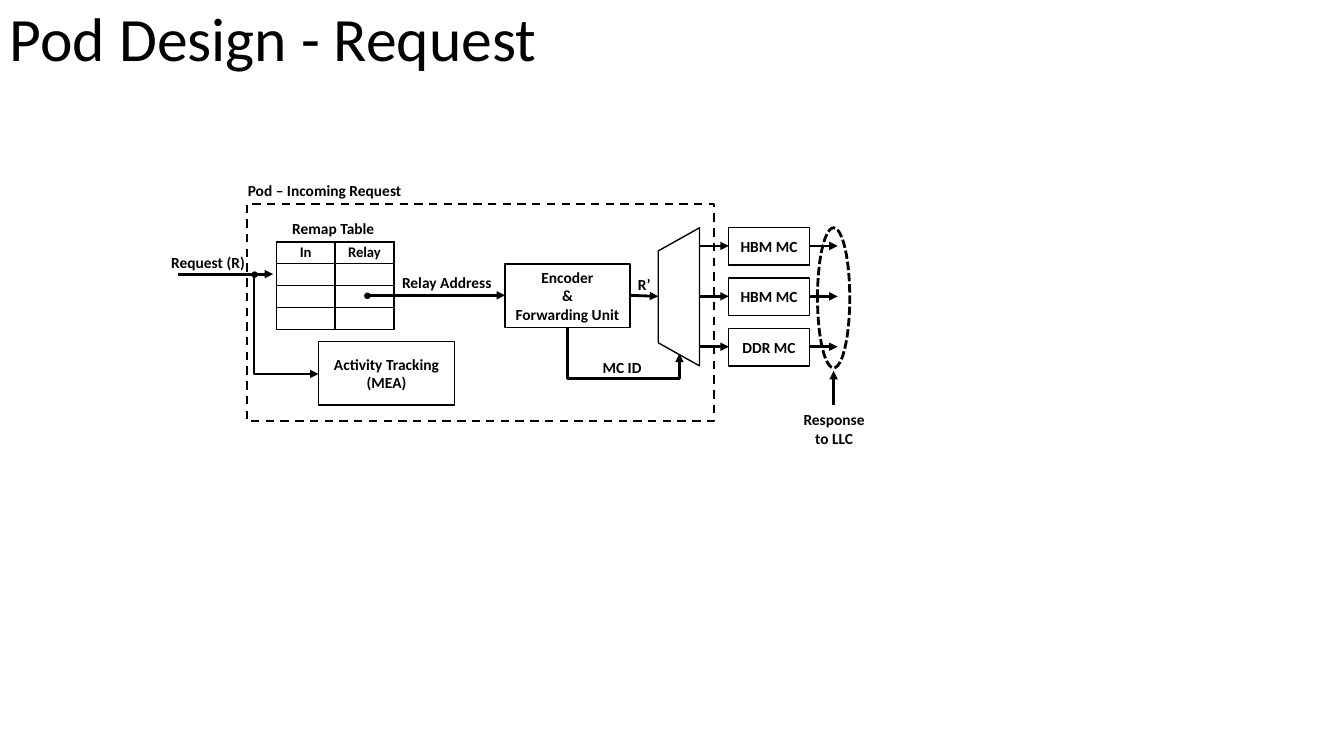
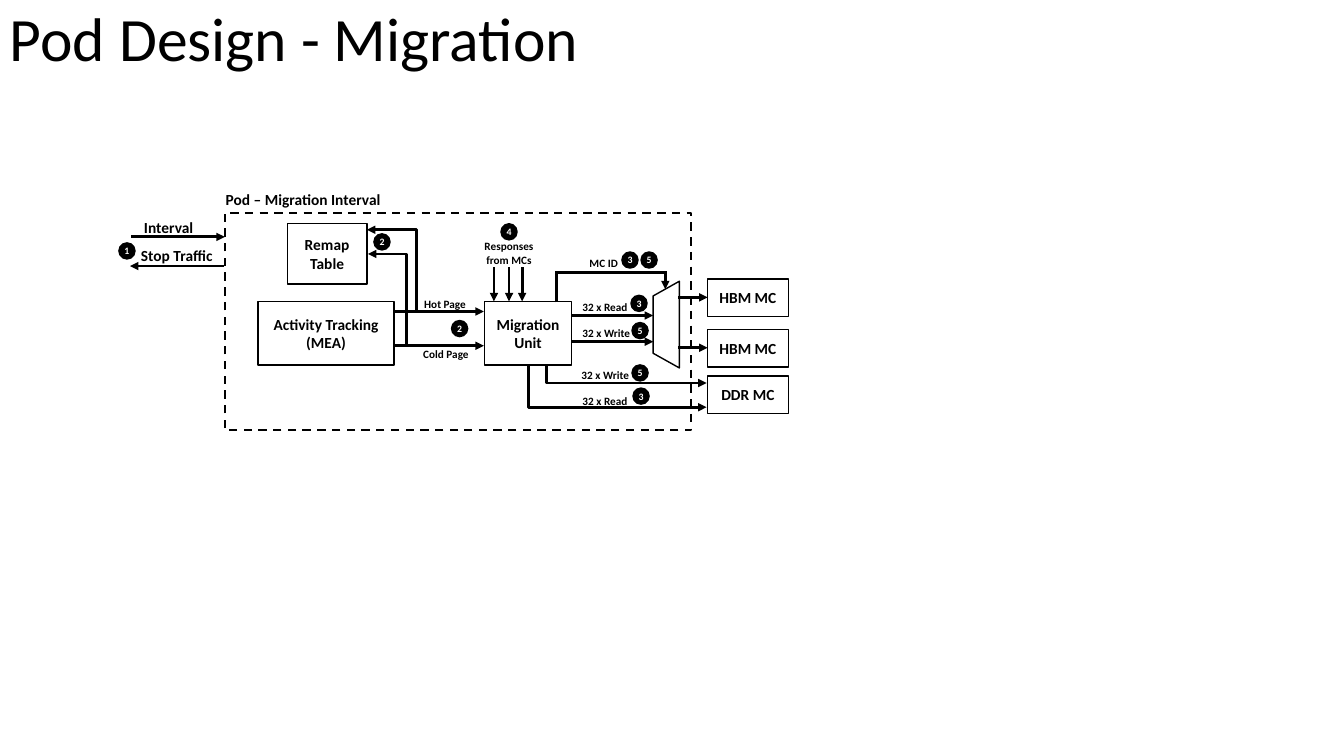
"""Build two block diagrams of a memory pod: the request path and the migration path."""
import pptx
import pptx.dml.color
import pptx.enum.dml
import pptx.enum.shapes
import pptx.enum.text
import pptx.oxml
import pptx.oxml.ns
import pptx.util

COLORS = {"ink": "000000", "paper": "FFFFFF"}
FONT = "Calibri"
CELL = pptx.util.Inches(0.1)
SHAPE = pptx.enum.shapes.MSO_SHAPE
LINK = pptx.enum.shapes.MSO_CONNECTOR
DASH = pptx.enum.dml.MSO_LINE
ALIGN = pptx.enum.text.PP_ALIGN
ANCHOR = pptx.enum.text.MSO_ANCHOR


def grid(*cells):
    return [round(c * CELL) for c in cells]


def rgb(name):
    return pptx.dml.color.RGBColor.from_string(COLORS[name])


def child(parent, tag, **attrs):
    el = pptx.oxml.parse_xml(f"<{tag} {pptx.oxml.ns.nsdecls('a')}/>")
    for key, value in attrs.items():
        el.set(key, str(value))
    parent.append(el)
    return el


class Diagram:
    def __init__(self, prs):
        self.prs = prs
        self.slide = None

    def new_slide(self, title):
        self.slide = self.prs.slides.add_slide(self.prs.slide_layouts[6])
        tf = self.label(0, -3.1, 115, 14.5, title, size=44, bold=False, grow=False)
        tf.vertical_anchor = ANCHOR.MIDDLE
        tf.paragraphs[0].line_spacing = 0.9

    def set_text(self, tf, text, size, color="ink", bold=True, align=ALIGN.CENTER):
        for i, line in enumerate(text.split("\n")):
            p = tf.add_paragraph() if i else tf.paragraphs[0]
            p.text = line
            p.alignment = align
            p.font.name = FONT
            p.font.size = pptx.util.Pt(size)
            p.font.bold = bold
            p.font.color.rgb = rgb(color)

    def label(self, x, y, w, h, text, size=11, bold=True, align=ALIGN.LEFT,
              wrap=True, grow=True):
        tf = self.slide.shapes.add_textbox(*grid(x, y, w, h)).text_frame
        tf.word_wrap = wrap
        if grow:
            tf.auto_size = pptx.enum.text.MSO_AUTO_SIZE.SHAPE_TO_FIT_TEXT
        self.set_text(tf, text, size, bold=bold, align=align)
        return tf

    def shape(self, kind, x, y, w, h, text="", size=11, solid=False,
              weight=1, dash=None):
        sp = self.slide.shapes.add_shape(kind, *grid(x, y, w, h))
        sp.shadow.inherit = False
        if solid:
            sp.fill.solid()
            sp.fill.fore_color.rgb = rgb("ink")
        else:
            sp.fill.background()
        sp.line.color.rgb = rgb("ink")
        sp.line.width = pptx.util.Pt(weight)
        if dash:
            sp.line.dash_style = dash
        if text:
            tf = sp.text_frame
            tf.margin_left = tf.margin_right = tf.margin_top = tf.margin_bottom = 0
            tf.vertical_anchor = ANCHOR.MIDDLE
            tf.word_wrap = False
            self.set_text(tf, text, size, "paper" if solid else "ink")
        return sp

    def box(self, x, y, w, h, text):
        self.shape(SHAPE.RECTANGLE, x, y, w, h, text)

    def controllers(self, x, tops):
        for y, name in zip(tops, ("HBM MC", "HBM MC", "DDR MC")):
            self.box(x, y, 8, 3.7, name)

    def mux(self, x, y, w, h):
        sp = self.shape(SHAPE.TRAPEZOID, x, y, w, h)
        sp.rotation = 270
        sp.adjustments[0] = 0.56

    def pod(self, x, y, name):
        self.shape(SHAPE.RECTANGLE, x, y, 46.3, 21.6, weight=1.5, dash=DASH.DASH)
        self.label(x - 0.9, y - 2.7, 30, 2.9, name)

    def dot(self, x, y):
        self.shape(SHAPE.OVAL, x, y, 0.5, 0.5, solid=True)

    def badge(self, x, y, number):
        self.shape(SHAPE.OVAL, x, y, 1.6, 1.6, str(number), 7, solid=True)

    def link(self, kind, x1, y1, x2, y2, head):
        cxn = self.slide.shapes.add_connector(kind, *grid(x1, y1, x2, y2))
        cxn.line.color.rgb = rgb("ink")
        cxn.line.width = pptx.util.Pt(2)
        if head:
            child(cxn.line._get_or_add_ln(), "a:tailEnd", type="triangle")
        child(cxn._element.spPr, "a:effectLst")
        return cxn

    def arrow(self, x1, y1, x2, y2, head=True):
        self.link(LINK.STRAIGHT, x1, y1, x2, y2, head)

    def elbow(self, x1, y1, x2, y2, turn=1):
        cx, cy = (x1 + x2) / 2, (y1 + y2) / 2
        cxn = self.link(LINK.ELBOW, cx + cy - y1, cy + x1 - cx,
                        cx + cy - y2, cy + x2 - cx, True)
        sp_pr = cxn._element.spPr
        sp_pr.find(pptx.oxml.ns.qn("a:xfrm")).set("rot", str(270 * 60000))
        geom = sp_pr.find(pptx.oxml.ns.qn("a:prstGeom"))
        av = geom.find(pptx.oxml.ns.qn("a:avLst"))
        if av is None:
            av = child(geom, "a:avLst")
        child(av, "a:gd", name="adj1", fmla=f"val {round(turn * 100000)}")

    def table(self, x, y, col, row, rows):
        n = len(rows[0])
        frame = self.slide.shapes.add_table(
            len(rows), n, *grid(x, y, col * n, row * len(rows)))
        tbl = frame.table
        tbl.first_row = tbl.horz_banding = False
        for r, texts in enumerate(rows):
            tbl.rows[r].height = grid(row)[0]
            for c, text in enumerate(texts):
                tbl.columns[c].width = grid(col)[0]
                self.cell(tbl.cell(r, c), text)

    def cell(self, cell, text):
        cell.margin_left, cell.margin_right = grid(0.4, 0.4)
        cell.margin_top, cell.margin_bottom = grid(0.2, 0.2)
        self.set_text(cell.text_frame, text, 10.5)
        tc_pr = cell._tc.get_or_add_tcPr()
        for side in "LRTB":
            ln = child(tc_pr, f"a:ln{side}", w=pptx.util.Pt(1))
            child(child(ln, "a:solidFill"), "a:srgbClr", val=COLORS["ink"])
        cell.fill.background()


def request(d):
    d.new_slide("Pod Design - Request")
    d.label(28, 21.2, 10.4, 2.9, "Remap Table", wrap=False)
    d.table(27.4, 24, 5.84, 2.18, [("In", "Relay")] + [("", "")] * 3)
    d.box(31.6, 33.9, 13.5, 6.3, "Activity Tracking\n(MEA)")
    d.box(50.1, 26.2, 12.4, 6.3, "Encoder\n&\nForwarding Unit")
    d.mux(60.5, 27.4, 13.7, 4.1)
    d.controllers(72.3, [22.6, 27.6, 32.6])
    for y in (24.4, 29.4, 34.4):
        d.arrow(69.4, y, 72.3, y)
        d.arrow(80.3, y, 83.1, y)
    d.arrow(17.7, 27.2, 27.1, 27.2)
    d.arrow(36.7, 29.3, 50.1, 29.3)
    d.arrow(62.5, 29.3, 65.3, 29.4)
    d.elbow(25.2, 27.3, 31.6, 37.1)
    d.elbow(56.3, 32.5, 67.4, 35.1, 1.95)
    d.label(16, 24.6, 10.5, 2.9, "Request (R)")
    d.label(38.9, 26.6, 12.4, 2.9, "Relay Address")
    d.label(62.3, 26.8, 3.5, 2.9, "R\u2019")
    d.label(58.8, 35, 6.7, 2.9, "MC ID")
    d.dot(36.2, 29.1)
    d.dot(25, 27)
    d.pod(24.5, 20.2, "Pod \u2013 Incoming Request")
    d.label(77.5, 40.2, 10.5, 4.7, "Response\nto LLC", align=ALIGN.CENTER)
    d.shape(SHAPE.OVAL, 81.1, 22.6, 3.2, 13.9, weight=2, dash=DASH.SQUARE_DOT)
    d.arrow(82.7, 40.2, 82.7, 36.8)


def migration(d):
    d.new_slide("Pod Design - Migration")
    d.box(25.6, 29.9, 13.5, 6.3, "Activity Tracking\n(MEA)")
    d.box(48.1, 29.9, 8.6, 6.3, "Migration\nUnit")
    d.box(28.5, 22.2, 7.9, 6, "Remap\nTable")
    d.mux(61.8, 30.9, 8.6, 2.6)
    d.controllers(70.2, [27.7, 32.7, 37.3])
    for y in (29.5, 34.5):
        d.arrow(67.3, y, 70.2, y)
    d.pod(22.3, 21.1, "Pod \u2013 Migration Interval")
    d.arrow(13, 23.5, 22.3, 23.5)
    d.label(13.3, 21.1, 10.5, 2.9, "Interval")
    d.arrow(22.2, 26.4, 12.9, 26.4)
    d.label(13, 23.9, 10.5, 2.9, "Stop Traffic")
    for y in (30.9, 34.3):
        d.arrow(39.1, y, 48, y)
    for y in (31.3, 33.9):
        d.arrow(56.7, y, 64.8, y)
    d.arrow(55.2, 30, 55.2, 26.9, head=False)
    d.arrow(55.1, 27, 66, 27, head=False)
    d.arrow(66, 26.9, 66, 28.7)
    d.elbow(52.4, 36.3, 70.1, 40.4)
    d.elbow(54.2, 36.3, 70.1, 38)
    d.elbow(41.3, 30.8, 36.4, 22.8)
    d.elbow(40.3, 34.2, 36.5, 25.2)
    for x in (49, 50.5, 51.8):
        d.arrow(x, 26.5, x, 29.9)
    for x, y, text in ((41.1, 29, "Hot Page"), (41, 34, "Cold Page"),
                       (57.5, 24.9, "MC ID"), (56.8, 29.3, "32 x Read"),
                       (56.8, 31.9, "32 x Write"), (56.7, 36.1, "32 x Write"),
                       (56.8, 38.6, "32 x Read")):
        d.label(x, y, 7.4, 2.4, text, size=8)
    d.label(46.8, 23.3, 7.4, 3.7, "Responses from MCs", size=8, align=ALIGN.CENTER)
    for x, y, step in ((11.8, 24.1, 1), (44.8, 31.8, 2), (37.1, 23.2, 2),
                       (62.6, 29.3, 3), (62.8, 38.5, 3), (61.7, 25, 3),
                       (49.7, 22.2, 4), (62.7, 36.2, 5), (62.7, 32, 5),
                       (63.6, 25, 5)):
        d.badge(x, y, step)


prs = pptx.Presentation()
prs.slide_width, prs.slide_height = grid(133.33, 75)
diagram = Diagram(prs)
request(diagram)
migration(diagram)
prs.save("out.pptx")
